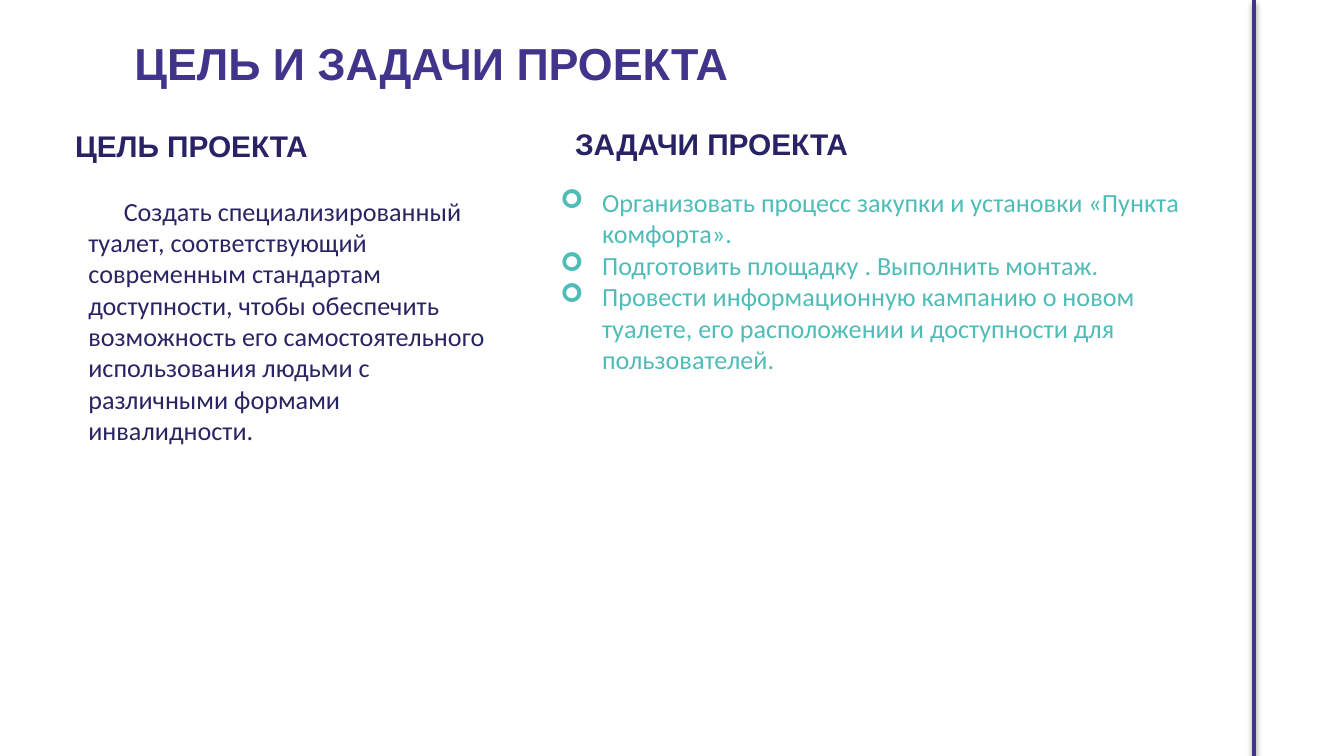
from dataclasses import dataclass

from lxml.etree import SubElement
from pptx import Presentation
from pptx.dml.color import RGBColor
from pptx.enum.shapes import MSO_CONNECTOR, MSO_SHAPE
from pptx.enum.text import MSO_ANCHOR, MSO_AUTO_SIZE, PP_ALIGN
from pptx.oxml.ns import qn
from pptx.util import Cm, Pt


@dataclass(frozen=True)
class Theme:
    violet: str = "41348B"
    navy: str = "282365"
    ink: str = "292563"
    teal: str = "4FBCB7"
    white: str = "FFFFFF"
    title: int = 24
    head: int = 16
    body: int = 14
    display: str = "Arial"
    plain: str = "Calibri"


THEME = Theme()
WIDTH, HEIGHT = 25.4, 14.29
RULE_X = 23.7

TITLE = "ЦЕЛЬ И ЗАДАЧИ ПРОЕКТА"
GOAL_HEAD = "ЦЕЛЬ ПРОЕКТА"
GOAL = [
    "Создать специализированный туалет, соответствующий современным "
    "стандартам доступности, чтобы обеспечить возможность его "
    "самостоятельного использования людьми с различными формами "
    "инвалидности.",
]
TASK_HEAD = "ЗАДАЧИ ПРОЕКТА"
TASKS = [
    "Организовать процесс закупки и установки «Пункта комфорта».",
    "Подготовить площадку . Выполнить монтаж.",
    "Провести информационную кампанию о новом туалете, его расположении "
    "и доступности для пользователей.",
]

# Boxes in centimetres: left, top, width, height
TITLE_BOX = (2.29, 0.48, 16.94, 1.42)
GOAL_HEAD_BOX = (1.17, 2.29, 8.46, 0.71)
GOAL_BOX = (1.42, 3.56, 8.31, 8.64)
TASK_HEAD_BOX = (10.62, 2.26, 8.46, 1.07)
TASK_BOX = (10.34, 3.4, 12.7, 4.45)


def color(code):
    return RGBColor.from_string(code)


def write(shape, lines, *, size, font, ink, bold=False, left=0, first=0,
          bullet=None):
    """Fill a shape with paragraphs; left and first are indents in cm."""
    frame = shape.text_frame
    frame.word_wrap = True
    for i, line in enumerate(lines):
        para = frame.paragraphs[0] if i == 0 else frame.add_paragraph()
        para.alignment = PP_ALIGN.LEFT
        props = para._p.get_or_add_pPr()
        props.set("marL", str(Cm(left)))
        props.set("indent", str(Cm(first)))
        if bullet:
            SubElement(props, qn("a:buFont"), typeface="Wingdings")
            SubElement(props, qn("a:buChar"), char=bullet)
        run = para.add_run()
        run.text = line
        run.font.name, run.font.size = font, Pt(size)
        run.font.bold = bold
        run.font.color.rgb = color(ink)
    return frame


def add_text(slide, box, lines, **style):
    shape = slide.shapes.add_textbox(*map(Cm, box))
    return write(shape, lines, **style)


def add_title(slide):
    shape = slide.shapes.add_shape(MSO_SHAPE.RECTANGLE, *map(Cm, TITLE_BOX))
    shape.shadow.inherit = False
    shape.fill.solid()
    shape.fill.fore_color.rgb = color(THEME.white)
    shape.line.fill.background()
    frame = write(shape, [TITLE], size=THEME.title, font=THEME.display,
                  ink=THEME.violet, bold=True)
    frame.vertical_anchor = MSO_ANCHOR.MIDDLE


def add_rule(slide):
    """Draw the vertical line at the right with its soft shadow."""
    rule = slide.shapes.add_connector(
        MSO_CONNECTOR.STRAIGHT, Cm(RULE_X), Cm(0), Cm(RULE_X), Cm(HEIGHT))
    rule.line.color.rgb = color(THEME.violet)
    rule.line.width = Pt(2)
    effects = SubElement(rule._element.spPr, qn("a:effectLst"))
    shade = SubElement(effects, qn("a:outerShdw"), blurRad=str(Pt(3.1)),
                       dist=str(Pt(1.6)), dir="5400000", rotWithShape="0")
    black = SubElement(shade, qn("a:srgbClr"), val="000000")
    SubElement(black, qn("a:alpha"), val="38000")


def main():
    deck = Presentation()
    deck.slide_width, deck.slide_height = Cm(WIDTH), Cm(HEIGHT)
    slide = deck.slides.add_slide(deck.slide_layouts[6])

    head = dict(size=THEME.head, font=THEME.display, ink=THEME.navy, bold=True)
    body = dict(size=THEME.body, font=THEME.plain)
    add_text(slide, GOAL_HEAD_BOX, [GOAL_HEAD], **head)
    add_text(slide, GOAL_BOX, GOAL, ink=THEME.ink, first=0.67, **body)
    add_text(slide, TASK_HEAD_BOX, [TASK_HEAD], **head)
    tasks = add_text(slide, TASK_BOX, TASKS, ink=THEME.teal, left=0.79,
                     first=-0.79, bullet="➢", **body)
    tasks.auto_size = MSO_AUTO_SIZE.SHAPE_TO_FIT_TEXT
    add_title(slide)
    add_rule(slide)
    deck.save("out.pptx")


if __name__ == "__main__":
    main()
